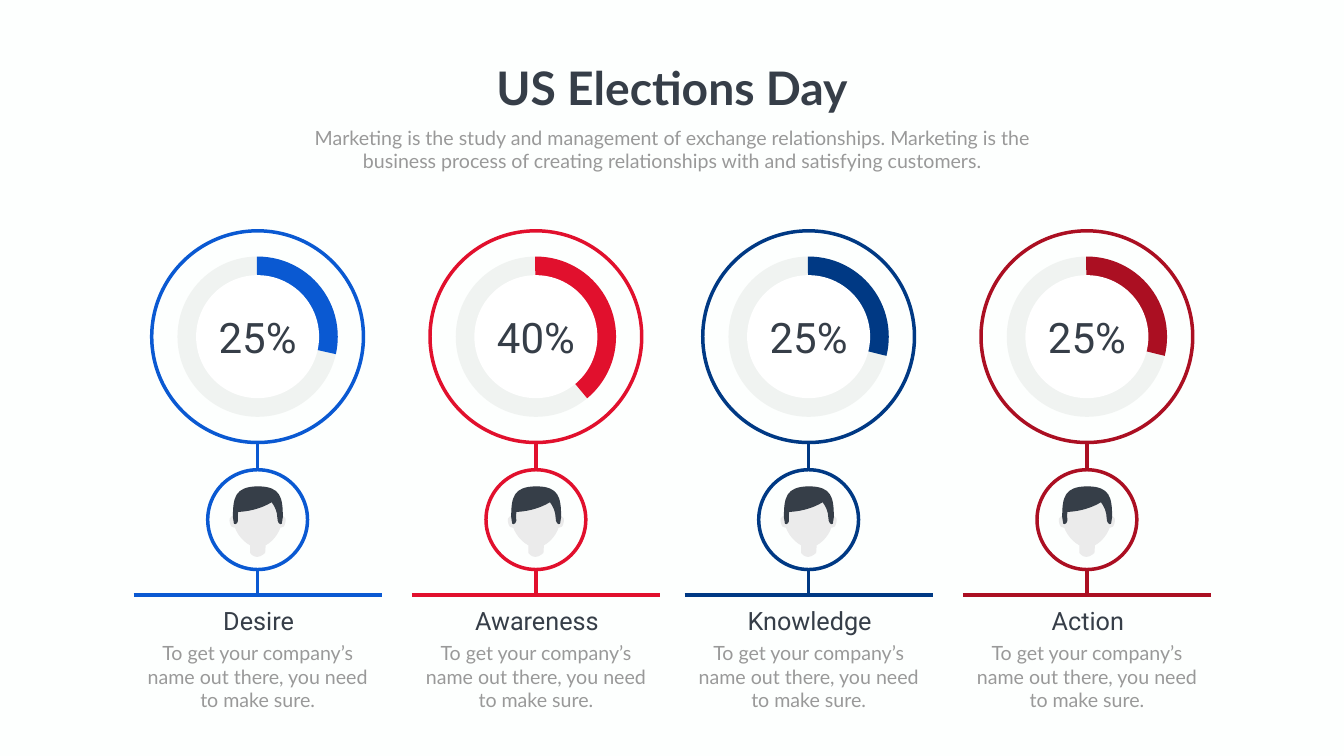
from dataclasses import dataclass

import pptx
import pptx.dml.color
import pptx.enum.shapes
import pptx.enum.text
import pptx.oxml.ns
import pptx.util
from lxml import etree
from pptx.dml.color import RGBColor
from pptx.util import Inches

SHAPE = pptx.enum.shapes.MSO_SHAPE
BACKGROUND = RGBColor(0xFD, 0xFF, 0xFE)
WHITE = RGBColor(0xFF, 0xFF, 0xFF)
TRACK = RGBColor(0xF0, 0xF3, 0xF1)
SKIN = RGBColor(0xEB, 0xEB, 0xEB)
DARK = RGBColor(0x36, 0x3E, 0x48)
GREY = RGBColor(0x99, 0x99, 0x99)
BLUE = RGBColor(0x0A, 0x59, 0xD2)
RED = RGBColor(0xE1, 0x10, 0x2D)
NAVY = RGBColor(0x00, 0x39, 0x84)
CRIMSON = RGBColor(0xAB, 0x0F, 0x22)

CENTER = 13.33
DIAL_Y, AVATAR_Y, BASE_Y = 6.68, 10.31, 11.81
DIAL_RADIUS, RING_RADIUS, HOLE_RADIUS, AVATAR_RADIUS = 2.1, 1.59, 1.22, 0.99
BASE_WIDTH = 4.92
HEAD_TOP = 9.65
INTRO = (
    "Marketing is the study and management of exchange relationships. Marketing is the "
    "business process of creating relationships with and satisfying customers."
)
DETAIL = "To get your company’s name out there, you need to make sure."


@dataclass(frozen=True)
class Stage:
    axis: float
    name: str
    share: str
    arc_end: float  # degrees clockwise from three o'clock
    color: RGBColor


@dataclass(frozen=True)
class TextStyle:
    color: RGBColor
    font: dict


@dataclass(frozen=True)
class Outline:
    """Points from the top middle of the head; two numbers a line, six a curve."""

    color: RGBColor
    start: tuple
    segments: tuple


STAGES = (
    Stage(5.11, "Desire", "25%", 12.6, BLUE),
    Stage(10.63, "Awareness", "40%", 50.25, RED),
    Stage(16.04, "Knowledge", "25%", 13.85, NAVY),
    Stage(21.56, "Action", "25%", 13.85, CRIMSON),
)

TITLE = TextStyle(DARK, {"name": "Lato", "size": pptx.util.Pt(66), "bold": True})
BODY = TextStyle(GREY, {"name": "Lato", "size": pptx.util.Pt(28)})
SHARE = TextStyle(DARK, {"name": "Roboto", "size": pptx.util.Pt(60)})
STAGE_NAME = TextStyle(DARK, {"name": "Roboto", "size": pptx.util.Pt(36)})

FACE = Outline(SKIN, (0, 0), (
    (0.46, 0, 0.49, 0.27, 0.49, 0.61), (0.49, 0.86, 0.33, 1.08, 0.16, 1.17),
    (0.15, 1.32), (0.15, 1.32, 0.07, 1.4, -0.01, 1.4),
    (-0.1, 1.4, -0.15, 1.32, -0.15, 1.32), (-0.15, 1.17),
    (-0.32, 1.08, -0.49, 0.86, -0.49, 0.61), (-0.49, 0.27, -0.47, 0, 0, 0),
))
RIGHT_EAR = Outline(SKIN, (0.55, 0.72), (
    (0.54, 0.79, 0.5, 0.83, 0.46, 0.82), (0.42, 0.81, 0.4, 0.75, 0.42, 0.69),
    (0.43, 0.63, 0.47, 0.59, 0.51, 0.59), (0.55, 0.6, 0.57, 0.66, 0.55, 0.72),
))
HAIR = Outline(DARK, (0.03, 0), (
    (-0.01, 0), (-0.44, 0.01, -0.49, 0.21, -0.49, 0.61),
    (-0.47, 0.74), (-0.44, 0.75),
    (-0.44, 0.75, -0.37, 0.74, -0.39, 0.61), (-0.41, 0.48, -0.31, 0.15, 0, 0.15),
    (0.21, 0.15, 0.39, 0.42, 0.39, 0.61), (0.39, 0.74, 0.45, 0.75, 0.45, 0.75),
    (0.48, 0.74), (0.5, 0.61), (0.5, 0.21, 0.45, 0.01, 0.03, 0),
))
FRINGE = Outline(DARK, (0.41, 0.22), (
    (0.41, 0.22, 0.11, 0.51, -0.47, 0.51), (-0.47, 0.51, -0.49, 0.19, -0.22, 0.06),
    (0.06, -0.06, 0.36, 0.12, 0.41, 0.22),
))


def mirrored(outline: Outline) -> Outline:
    def flip(values: tuple) -> tuple:
        return tuple(-v if i % 2 == 0 else v for i, v in enumerate(values))

    return Outline(outline.color, flip(outline.start), tuple(map(flip, outline.segments)))


HEAD = (FACE, RIGHT_EAR, mirrored(RIGHT_EAR), HAIR, FRINGE)


def bend_segments(part, outline: Outline, axis: float) -> None:
    """Give the curved segments of a freeform their two control points."""
    lines = list(part._element.iter(pptx.oxml.ns.qn("a:lnTo")))
    for line, segment in zip(lines, outline.segments):
        if len(segment) == 2:
            continue
        line.tag = pptx.oxml.ns.qn("a:cubicBezTo")
        for index, (x, y) in enumerate((segment[:2], segment[2:4])):
            control = etree.Element(
                pptx.oxml.ns.qn("a:pt"),
                x=str(Inches(axis + x) - part.left), y=str(Inches(HEAD_TOP + y) - part.top),
            )
            line.insert(index, control)


def draw_head(shapes, axis: float) -> None:
    for outline in HEAD:
        corners = [outline.start] + [segment[-2:] for segment in outline.segments]
        points = [(Inches(axis + x), Inches(HEAD_TOP + y)) for x, y in corners]
        builder = shapes.build_freeform(*points[0])
        builder.add_line_segments(points[1:], close=True)
        part = builder.convert_to_shape()
        bend_segments(part, outline, axis)
        part.shadow.inherit = False
        part.fill.solid()
        part.fill.fore_color.rgb = outline.color
        part.line.fill.background()


def draw_round(shapes, kind, x: float, y: float, radius: float, fill=None, line=None):
    """Draw a circle or pie about a centre, filled or outlined."""
    disc = shapes.add_shape(
        kind, Inches(x - radius), Inches(y - radius), Inches(2 * radius), Inches(2 * radius)
    )
    disc.shadow.inherit = False
    if fill is None:
        disc.fill.background()
    else:
        disc.fill.solid()
        disc.fill.fore_color.rgb = fill
    if line is None:
        disc.line.fill.background()
    else:
        disc.line.color.rgb = line
        disc.line.width = pptx.util.Pt(5)
    return disc


def draw_arc(shapes, axis: float, start: float, end: float, color: RGBColor) -> None:
    pie = draw_round(shapes, SHAPE.PIE, axis, DIAL_Y, RING_RADIUS, fill=color)
    for index, degrees in enumerate((start, end)):
        pie.adjustments[index] = degrees * 0.6  # 60000 units a degree, over 100000


def draw_line(shapes, x1: float, y1: float, x2: float, y2: float, color: RGBColor):
    line = shapes.add_connector(
        pptx.enum.shapes.MSO_CONNECTOR.STRAIGHT, Inches(x1), Inches(y1), Inches(x2), Inches(y2)
    )
    line.line.color.rgb = color
    line.line.width = pptx.util.Pt(5)
    etree.SubElement(line._element.spPr, pptx.oxml.ns.qn("a:effectLst"))
    return line


def draw_text(shapes, text: str, axis: float, top: float, width: float, height: float,
              style: TextStyle, wrap: bool = True) -> None:
    box = shapes.add_textbox(Inches(axis - width / 2), Inches(top), Inches(width), Inches(height))
    frame = box.text_frame
    frame.word_wrap = wrap
    frame.auto_size = pptx.enum.text.MSO_AUTO_SIZE.SHAPE_TO_FIT_TEXT
    paragraph = frame.paragraphs[0]
    paragraph.alignment = pptx.enum.text.PP_ALIGN.CENTER
    run = paragraph.add_run()
    run.text = text
    for attribute, value in style.font.items():
        setattr(run.font, attribute, value)
    run.font.color.rgb = style.color


def draw_stage(shapes, stage: Stage) -> None:
    axis, color = stage.axis, stage.color
    draw_arc(shapes, axis, 269.94, 269.88, TRACK)
    draw_arc(shapes, axis, 269.44, stage.arc_end, color)
    draw_round(shapes, SHAPE.OVAL, axis, DIAL_Y, HOLE_RADIUS, fill=WHITE)
    draw_round(shapes, SHAPE.OVAL, axis, DIAL_Y, DIAL_RADIUS, line=color)
    avatar = draw_round(shapes, SHAPE.OVAL, axis, AVATAR_Y, AVATAR_RADIUS, line=color)
    stem = draw_line(shapes, axis, DIAL_Y + DIAL_RADIUS, axis, AVATAR_Y - AVATAR_RADIUS, color)
    stem.end_connect(avatar, 0)
    draw_line(shapes, axis, AVATAR_Y + AVATAR_RADIUS, axis, BASE_Y, color)
    draw_line(shapes, axis - BASE_WIDTH / 2, BASE_Y, axis + BASE_WIDTH / 2, BASE_Y, color)
    draw_head(shapes, axis)
    draw_text(shapes, stage.share, axis, 6.13, 2.78, 1, SHARE)
    draw_text(shapes, stage.name, axis + 0.02, 11.97, 3.56, 0.71, STAGE_NAME)
    draw_text(shapes, DETAIL, axis, 12.67, BASE_WIDTH, 1.51, BODY)


def main() -> None:
    deck = pptx.Presentation()
    deck.slide_width, deck.slide_height = Inches(26.66), Inches(15)
    slide = deck.slides.add_slide(deck.slide_layouts[6])
    slide.background.fill.solid()
    slide.background.fill.fore_color.rgb = BACKGROUND
    draw_text(slide.shapes, "US Elections Day", CENTER, 1.12, 7.28, 1.21, TITLE, wrap=False)
    draw_text(slide.shapes, INTRO, CENTER, 2.44, 15.72, 1.04, BODY)
    for stage in STAGES:
        draw_stage(slide.shapes, stage)
    deck.save("out.pptx")


if __name__ == "__main__":
    main()
